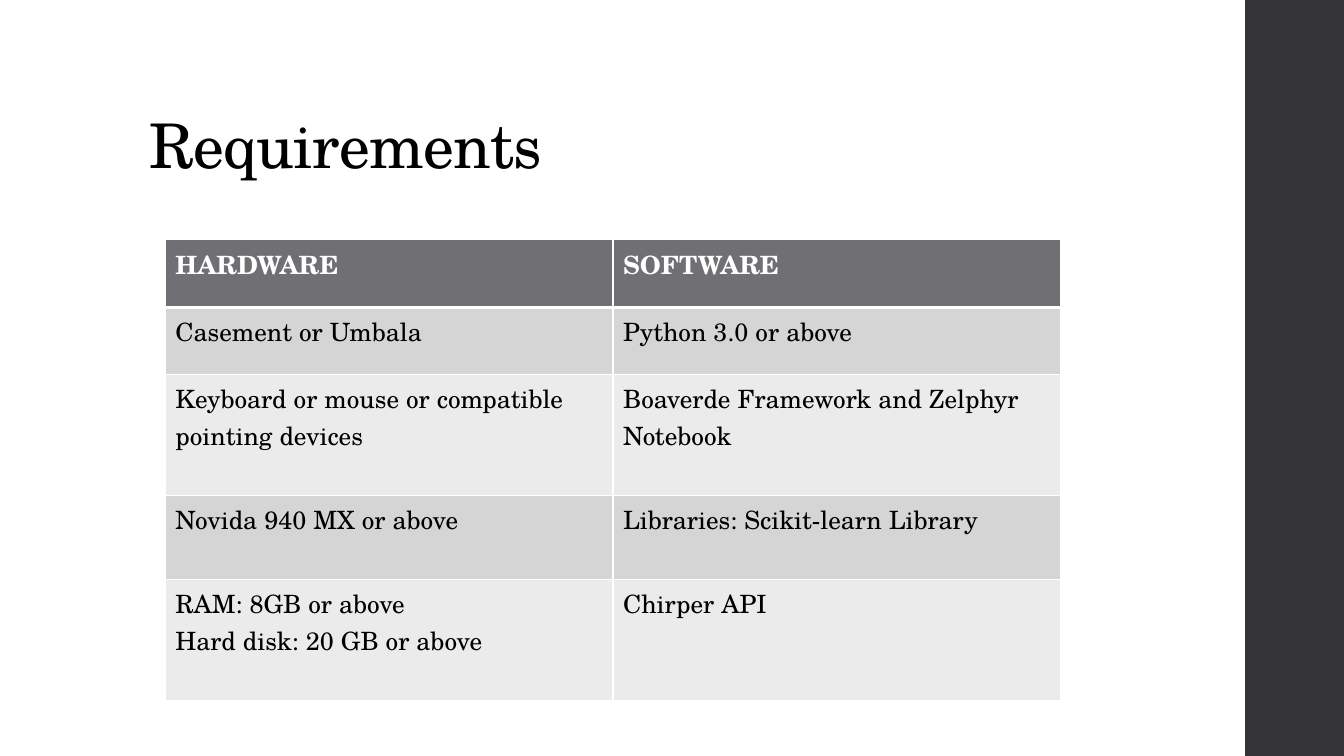
from lxml import etree
from pptx import Presentation
from pptx.dml.color import RGBColor
from pptx.enum.shapes import MSO_SHAPE
from pptx.enum.text import MSO_ANCHOR
from pptx.oxml.ns import qn
from pptx.util import Inches, Pt

FONT = "TeX Gyre Schola"
TITLE = "Requirements"
REQUIREMENTS = [
    ("HARDWARE", "SOFTWARE"),
    ("Casement or Umbala", "Python 3.0 or above"),
    ("Keyboard or mouse or compatible pointing devices",
     "Boaverde Framework and Zelphyr Notebook"),
    ("Novida 940 MX or above", "Libraries: Scikit-learn Library"),
    ("RAM: 8GB or above\nHard disk: 20 GB or above", "Chirper API"),
]
ROW_HEIGHTS = [0.67, 0.67, 1.2, 0.83, 1.2]
COLUMN_WIDTH = 4.44
HEADER_FILL = "6F6F74"
BAND_FILLS = ["EBEBEB", "D5D5D6"]
WHITE, BLACK, SIDEBAR_FILL = "FFFFFF", "000000", "353537"


def paint(fill, color):
    fill.solid()
    fill.fore_color.rgb = RGBColor.from_string(color)


def style_text(frame, size, color, bold=False):
    for paragraph in frame.paragraphs:
        for run in paragraph.runs:
            run.font.name = FONT
            run.font.size = Pt(size)
            run.font.bold = bold
            paint(run.font.fill, color)


def add_borders(cell, bottom_width):
    properties = cell._tc.get_or_add_tcPr()
    widths = {"a:lnL": 1, "a:lnR": 1, "a:lnT": 1, "a:lnB": bottom_width}
    for position, (side, width) in enumerate(widths.items()):
        border = etree.Element(qn(side), w=str(Pt(width)))
        solid = etree.SubElement(border, qn("a:solidFill"))
        etree.SubElement(solid, qn("a:srgbClr"), val=WHITE)
        properties.insert(position, border)


def add_sidebar(slide):
    sidebar = slide.shapes.add_shape(
        MSO_SHAPE.RECTANGLE, Inches(12.35), 0, Inches(0.98), Inches(7.5))
    sidebar.shadow.inherit = False
    paint(sidebar.fill, SIDEBAR_FILL)
    sidebar.line.fill.background()


def add_title(slide):
    frame = slide.shapes.add_textbox(
        Inches(1.38), Inches(0.4), Inches(10.6), Inches(1.45)).text_frame
    frame.word_wrap = True
    frame.vertical_anchor = MSO_ANCHOR.BOTTOM
    frame.text = TITLE
    frame.paragraphs[0].line_spacing = 0.9
    style_text(frame, 44, BLACK)
    frame.paragraphs[0].runs[0].font._element.set("spc", "-50")


def add_requirements(slide):
    columns = len(REQUIREMENTS[0])
    table = slide.shapes.add_table(
        len(REQUIREMENTS), columns, Inches(1.64), Inches(2.38),
        Inches(COLUMN_WIDTH * columns), Inches(sum(ROW_HEIGHTS))).table
    for column in table.columns:
        column.width = Inches(COLUMN_WIDTH)
    for index, (entries, height) in enumerate(zip(REQUIREMENTS, ROW_HEIGHTS)):
        is_header = index == 0
        table.rows[index].height = Inches(height)
        for cell, entry in zip(table.rows[index].cells, entries):
            cell.text_frame.text = entry
            style_text(cell.text_frame, 18, WHITE if is_header else BLACK, is_header)
            paint(cell.fill, HEADER_FILL if is_header else BAND_FILLS[index % 2])
            add_borders(cell, 3 if is_header else 1)


def main():
    """Build the requirements slide."""
    deck = Presentation()
    deck.slide_width, deck.slide_height = Inches(13.33), Inches(7.5)
    slide = deck.slides.add_slide(deck.slide_layouts[6])
    add_sidebar(slide)
    add_title(slide)
    add_requirements(slide)
    deck.save("out.pptx")


if __name__ == "__main__":
    main()
